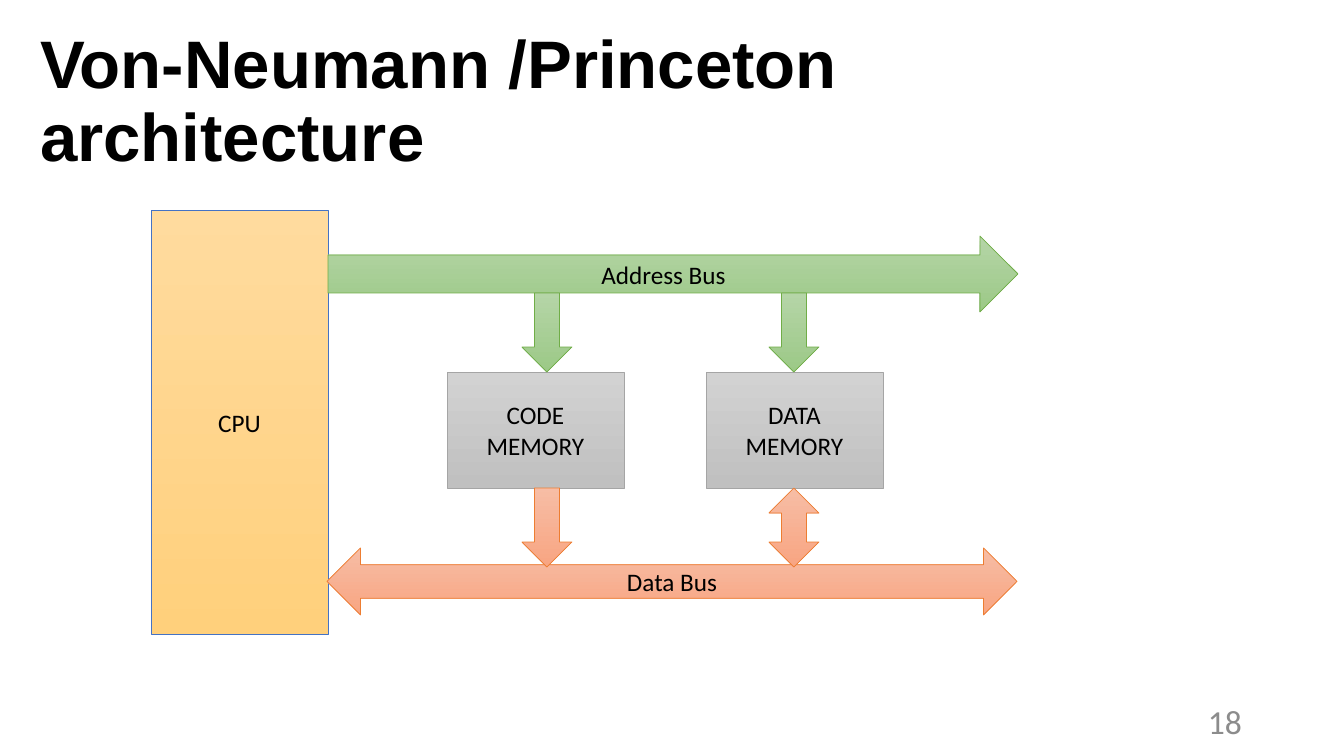
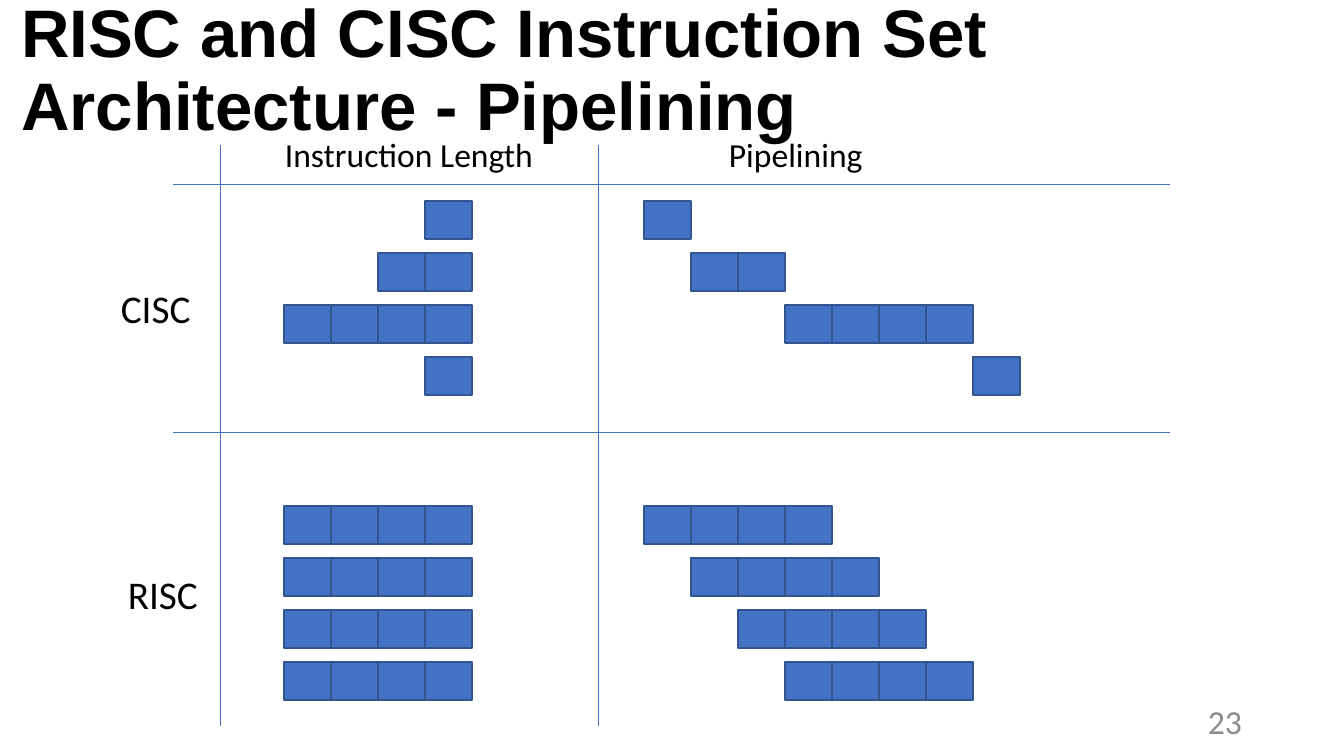
"""Build two slides on processor architecture: memory buses and pipelining."""
from itertools import accumulate

from lxml.etree import SubElement
from pptx import Presentation
from pptx.dml.color import RGBColor
from pptx.enum.shapes import MSO_CONNECTOR, MSO_SHAPE
from pptx.enum.text import MSO_ANCHOR, MSO_AUTO_SIZE, PP_ALIGN
from pptx.oxml.ns import qn
from pptx.util import Emu, Pt

PX = 914400 / 100.8

BLACK = RGBColor(0x00, 0x00, 0x00)
NUMBER_GREY = RGBColor(0x8C, 0x8C, 0x8C)
BLUE = RGBColor(0x44, 0x72, 0xC4)
DARK_BLUE = RGBColor(0x32, 0x54, 0x91)

CPU_LOOK = (RGBColor(0xFF, 0xDB, 0x9E), RGBColor(0xFF, 0xD0, 0x7C), BLUE)
ADDRESS_LOOK = (RGBColor(0xB5, 0xD5, 0xA7), RGBColor(0x9C, 0xC9, 0x87), RGBColor(0x70, 0xAD, 0x47))
MEMORY_LOOK = (RGBColor(0xD2, 0xD2, 0xD2), RGBColor(0xC0, 0xC0, 0xC0), RGBColor(0xA5, 0xA5, 0xA5))
DATA_LOOK = (RGBColor(0xF7, 0xBD, 0xA5), RGBColor(0xF8, 0xA5, 0x82), RGBColor(0xED, 0x7D, 0x31))

TITLE_FONT = {"name": "Arial", "size": Pt(48), "bold": True}
NUMBER_FONT = {"name": "Calibri", "size": Pt(24)}
HEADING_FONT = {"name": "Calibri", "size": Pt(24)}
ROW_FONT = {"name": "Calibri", "size": Pt(28)}
BLOCK_FONT = {"name": "Calibri", "size": Pt(18)}

CELL_WIDTH, CELL_HEIGHT, ROW_STEP = 47, 38, 52
LONGEST = 4
LENGTH_LEFT, PIPELINE_LEFT = 284, 644


def px(*lengths):
    """Turn whole pixels into EMU."""
    return [Emu(round(length * PX)) for length in lengths]


def write(frame, text, font, color=BLACK, align=PP_ALIGN.LEFT, anchor=MSO_ANCHOR.MIDDLE):
    """Fill a text frame with text in one format."""
    frame.text = text
    layout = {"word_wrap": True, "auto_size": MSO_AUTO_SIZE.NONE, "vertical_anchor": anchor}
    for key, value in layout.items():
        setattr(frame, key, value)
    for paragraph in frame.paragraphs:
        paragraph.alignment = align
        for key, value in font.items():
            setattr(paragraph.font, key, value)
        paragraph.font.color.rgb = color


def add_label(slide, text, box, font, **layout):
    """Add a text box."""
    write(slide.shapes.add_textbox(*px(*box)).text_frame, text, font, **layout)


def add_titled_slide(deck, title, box, number):
    """Add a slide with its title and slide number."""
    slide = deck.slides.add_slide(deck.slide_layouts[5])
    heading = slide.shapes.title
    for key, value in zip(("left", "top", "width", "height"), px(*box)):
        setattr(heading, key, value)
    write(heading.text_frame, title, TITLE_FONT)
    heading.text_frame.paragraphs[0].line_spacing = 0.9
    add_label(slide, number, (950, 701, 302, 40), NUMBER_FONT, color=NUMBER_GREY, align=PP_ALIGN.RIGHT)
    return slide


def add_block(slide, outline, box, look, text=""):
    """Add a shape with a downward gradient and an optional centred caption."""
    block = slide.shapes.add_shape(outline, *px(*box))
    top, bottom, edge = look
    block.shadow.inherit = False
    block.fill.gradient()
    block.fill.gradient_angle = 270
    for stop, color in zip(block.fill.gradient_stops, (top, bottom)):
        stop.color.rgb = color
    block.line.color.rgb = edge
    block.line.width = Pt(0.5)
    if text:
        write(block.text_frame, text, BLOCK_FONT, align=PP_ALIGN.CENTER)


def add_rule(slide, start, end):
    """Add a thin dividing line."""
    rule = slide.shapes.add_connector(MSO_CONNECTOR.STRAIGHT, *px(*start, *end))
    rule.line.color.rgb = BLUE
    rule.line.width = Pt(0.5)
    SubElement(rule.element.spPr, qn("a:effectLst"))


def add_cells(slide, left, top, count):
    """Add a row of adjoining instruction cells."""
    for index in range(count):
        box = px(left + index * CELL_WIDTH, top, CELL_WIDTH, CELL_HEIGHT)
        cell = slide.shapes.add_shape(MSO_SHAPE.RECTANGLE, *box)
        cell.shadow.inherit = False
        cell.fill.solid()
        cell.fill.fore_color.rgb = BLUE
        cell.line.color.rgb = DARK_BLUE
        cell.line.width = Pt(1)


def add_instruction_set(slide, top, lengths, starts):
    """Draw each instruction by length and by its place in the pipeline."""
    for row, (length, start) in enumerate(zip(lengths, starts)):
        row_top = top + row * ROW_STEP
        add_cells(slide, LENGTH_LEFT + (LONGEST - length) * CELL_WIDTH, row_top, length)
        add_cells(slide, PIPELINE_LEFT + start * CELL_WIDTH, row_top, length)


def build_von_neumann(deck):
    """Draw the processor, the two buses and the two memories."""
    slide = add_titled_slide(deck, "Von-Neumann /Princeton architecture", (30, 30, 1159, 146), "18")
    add_block(slide, MSO_SHAPE.RECTANGLE, (151, 210, 177, 424), CPU_LOOK, "CPU")
    add_block(slide, MSO_SHAPE.RIGHT_ARROW, (328, 236, 690, 76), ADDRESS_LOOK, "Address Bus")
    add_block(slide, MSO_SHAPE.LEFT_RIGHT_ARROW, (327, 548, 690, 67), DATA_LOOK, "Data Bus")
    memories = (
        ("CODE\nMEMORY", 447, 522, MSO_SHAPE.DOWN_ARROW),
        ("DATA\nMEMORY", 706, 769, MSO_SHAPE.UP_DOWN_ARROW),
    )
    for caption, left, arrow_left, data_arrow in memories:
        add_block(slide, MSO_SHAPE.RECTANGLE, (left, 372, 177, 116), MEMORY_LOOK, caption)
        add_block(slide, MSO_SHAPE.DOWN_ARROW, (arrow_left, 293, 50, 79), ADDRESS_LOOK)
        add_block(slide, data_arrow, (arrow_left, 488, 50, 79), DATA_LOOK)


def build_pipelining(deck):
    """Compare instruction lengths and pipelining of CISC and RISC."""
    title = "RISC and CISC Instruction Set Architecture - Pipelining"
    slide = add_titled_slide(deck, title, (11, -1, 1298, 146), "23")
    for y in (184, 432):
        add_rule(slide, (173, y), (1170, y))
    for x in (220, 598):
        add_rule(slide, (x, 145), (x, 726))
    labels = (
        ("Instruction Length", (275, 129, 290, 50), HEADING_FONT),
        ("Pipelining", (719, 129, 170, 50), HEADING_FONT),
        ("CISC", (111, 279, 99, 57), ROW_FONT),
        ("RISC", (118, 565, 99, 57), ROW_FONT),
    )
    for text, box, font in labels:
        add_label(slide, text, box, font, anchor=MSO_ANCHOR.TOP)
    cisc_lengths = (1, 2, 4, 1)
    add_instruction_set(slide, 201, cisc_lengths, accumulate(cisc_lengths, initial=0))
    add_instruction_set(slide, 506, (LONGEST,) * 4, range(4))


def main():
    """Build and save the presentation."""
    deck = Presentation()
    deck.slide_width, deck.slide_height = px(1344, 756)
    build_von_neumann(deck)
    build_pipelining(deck)
    deck.save("out.pptx")


if __name__ == "__main__":
    main()
